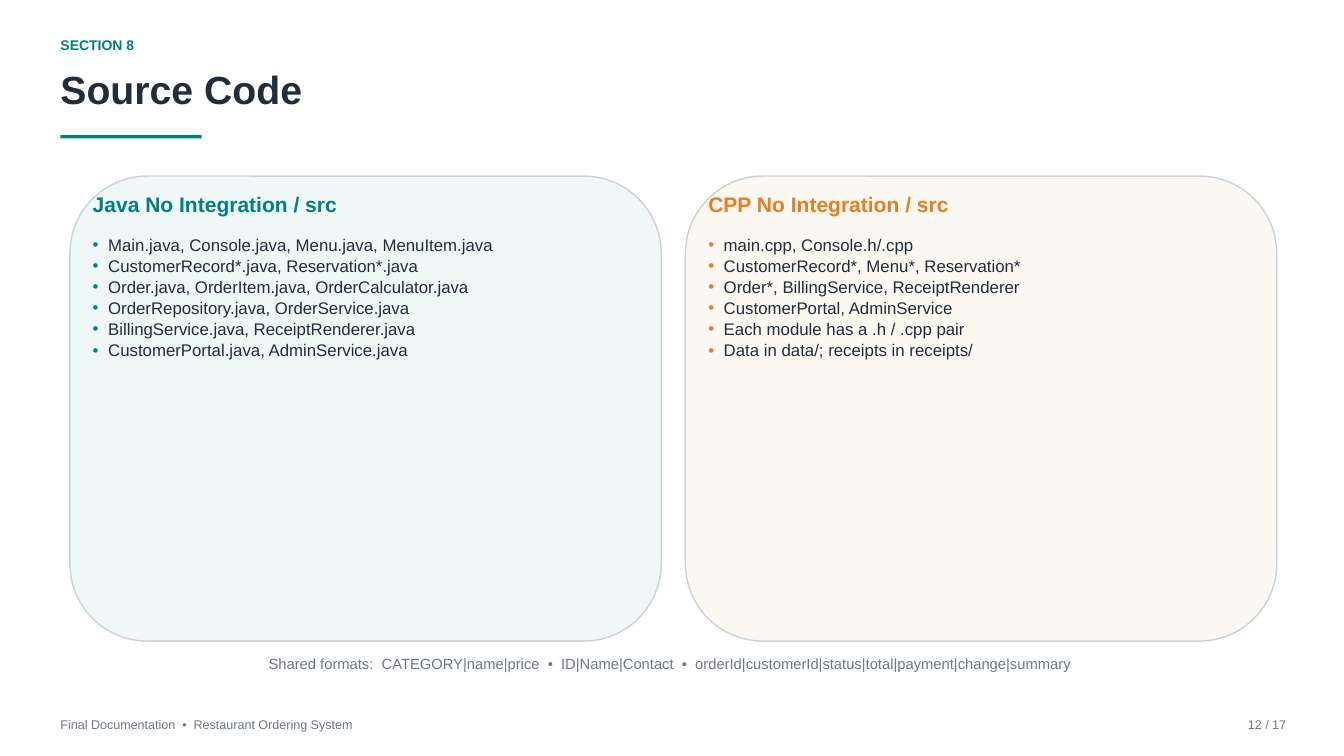
from lxml import etree
from pptx import Presentation
from pptx.dml.color import RGBColor
from pptx.enum.shapes import MSO_SHAPE as Shape
from pptx.enum.text import PP_ALIGN as Align
from pptx.oxml.ns import qn
from pptx.util import Inches, Pt

TEAL = RGBColor(0x00, 0x80, 0x80)
ORANGE = RGBColor(0xE6, 0x7E, 0x22)
NAVY = RGBColor(0x1F, 0x2D, 0x3D)
GRAY = RGBColor(0x6E, 0x78, 0x82)
BORDER = RGBColor(0xC8, 0xD2, 0xD7)
MINT = RGBColor(0xF0, 0xF7, 0xF7)
CREAM = RGBColor(0xFC, 0xF8, 0xF2)

MARGIN = 0.9
BULLET_INDENT = Inches(0.23)

EYEBROW = {"size": Pt(15), "bold": True, "color": TEAL}
TITLE = {"size": Pt(42), "bold": True, "color": NAVY}
HEADING = {"size": Pt(22.5), "bold": True}
ITEM = {"size": Pt(18), "color": NAVY}
NOTE = {"size": Pt(15.8), "color": GRAY}
FOOTER = {"size": Pt(13.5), "color": GRAY}

CARDS = [
    ("Java No Integration / src", TEAL, MINT, [
        "Main.java, Console.java, Menu.java, MenuItem.java",
        "CustomerRecord*.java, Reservation*.java",
        "Order.java, OrderItem.java, OrderCalculator.java",
        "OrderRepository.java, OrderService.java",
        "BillingService.java, ReceiptRenderer.java",
        "CustomerPortal.java, AdminService.java",
    ]),
    ("CPP No Integration / src", ORANGE, CREAM, [
        "main.cpp, Console.h/.cpp",
        "CustomerRecord*, Menu*, Reservation*",
        "Order*, BillingService, ReceiptRenderer",
        "CustomerPortal, AdminService",
        "Each module has a .h / .cpp pair",
        "Data in data/; receipts in receipts/",
    ]),
]


def add_bullet(para, color):
    props = para._p.get_or_add_pPr()
    props.set("marL", str(BULLET_INDENT))
    props.set("indent", str(-BULLET_INDENT))
    fill = etree.SubElement(props, qn("a:buClr"))
    etree.SubElement(fill, qn("a:srgbClr"), val=str(color))
    etree.SubElement(props, qn("a:buFont"), typeface="Arial")
    etree.SubElement(props, qn("a:buChar"), char="•")


def add_text(page, box, lines, style, spacing, align=Align.LEFT, bullet=None):
    frame = page.shapes.add_textbox(*map(Inches, box)).text_frame
    frame.word_wrap = True
    for side in ("left", "top", "right", "bottom"):
        setattr(frame, f"margin_{side}", 0)
    for index, line in enumerate(lines):
        para = frame.add_paragraph() if index else frame.paragraphs[0]
        if bullet is not None:
            add_bullet(para, bullet)
        para.alignment = align
        para.line_spacing = Pt(spacing)
        span = para.add_run()
        span.text = line
        span.font.name = "Arial"
        for name, value in style.items():
            if name == "color":
                span.font.color.rgb = value
            else:
                setattr(span.font, name, value)


def add_panel(page, kind, box, fill, border=None):
    panel = page.shapes.add_shape(kind, *map(Inches, box))
    panel.shadow.inherit = False
    panel.fill.solid()
    panel.fill.fore_color.rgb = fill
    if border is None:
        panel.line.fill.background()
    else:
        panel.line.color.rgb = border
        panel.line.width = Pt(1.5)


def add_header(page, left, top, width):
    add_text(page, (left, top, width, 0.4), ["SECTION 8"], EYEBROW, 18)
    add_text(page, (left, top + 0.42, width, 0.95), ["Source Code"], TITLE, 50.4)
    add_panel(page, Shape.RECTANGLE, (left, top + 1.46, 2.1, 0.05), TEAL)


def add_card(page, left, top, width, height, heading, accent, fill, items):
    add_panel(page, Shape.ROUNDED_RECTANGLE, (left, top, width, height), fill, BORDER)
    inner_left, inner_width = left + 0.34, width - 0.68
    add_text(page, (inner_left, top + 0.23, inner_width, 0.5), [heading],
             {**HEADING, "color": accent}, 27)
    add_text(page, (inner_left, top + 0.85, inner_width, height - 1.04), items,
             ITEM, 22.7, bullet=accent)


def add_cards(page, left, top, width, height, gap):
    card_width = (width - gap * (len(CARDS) - 1)) / len(CARDS)
    for index, card in enumerate(CARDS):
        add_card(page, left + index * (card_width + gap), top, card_width, height, *card)


def add_footer(page, left, top, width):
    add_text(page, (left, top, 13.5, 0.35),
             ["Final Documentation  •  Restaurant Ordering System"], FOOTER, 16.2)
    add_text(page, (left + width - 1.28, top, 1.28, 0.35), ["12 / 17"], FOOTER, 16.2,
             Align.RIGHT)


def main():
    deck = Presentation()
    deck.slide_width, deck.slide_height = Inches(20), Inches(11.25)
    page = deck.slides.add_slide(deck.slide_layouts[6])
    add_header(page, MARGIN, 0.55, 18.16)
    add_cards(page, 1.04, 2.62, 17.96, 6.92, 0.36)
    add_text(page, (1.05, 9.75, 17.86, 0.54),
             ["Shared formats:  CATEGORY|name|price  •  ID|Name|Contact  •  "
              "orderId|customerId|status|total|payment|change|summary"],
             NOTE, 18.9, Align.CENTER)
    add_footer(page, MARGIN, 10.67, 18.24)
    deck.save("out.pptx")


if __name__ == "__main__":
    main()
